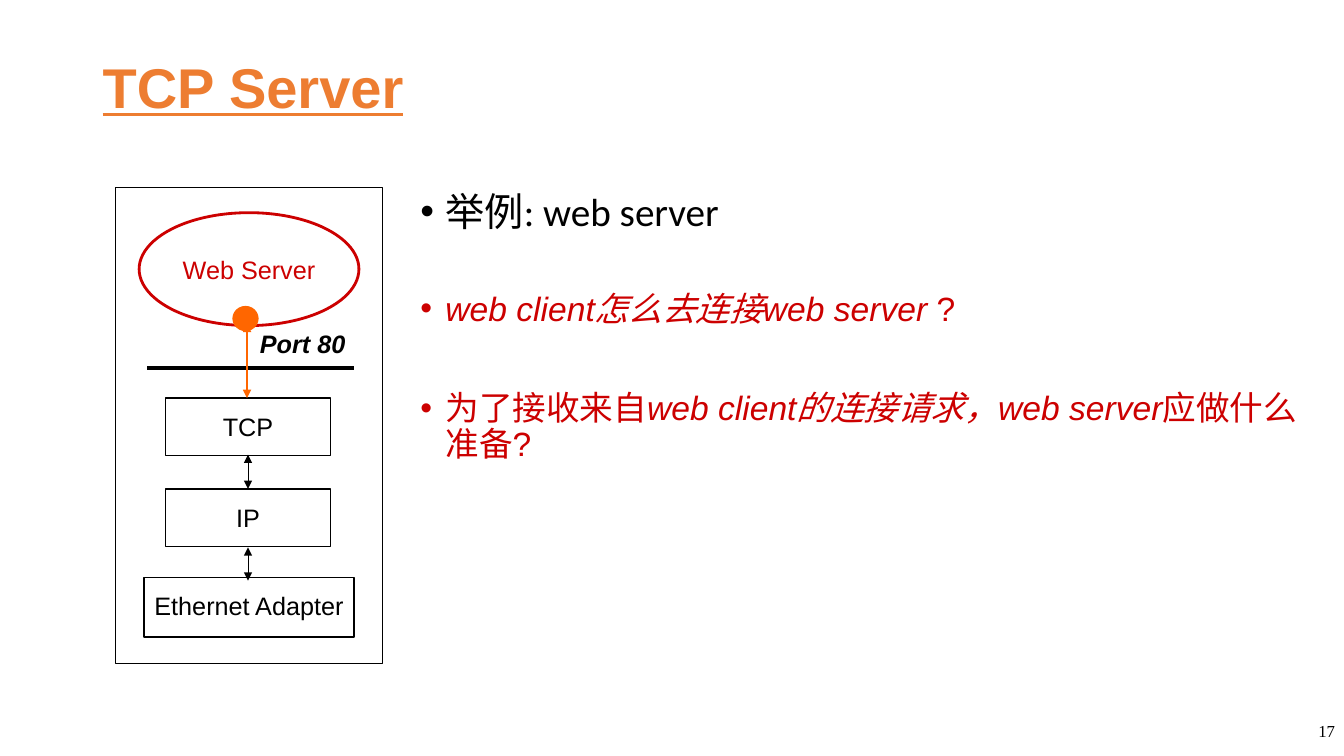
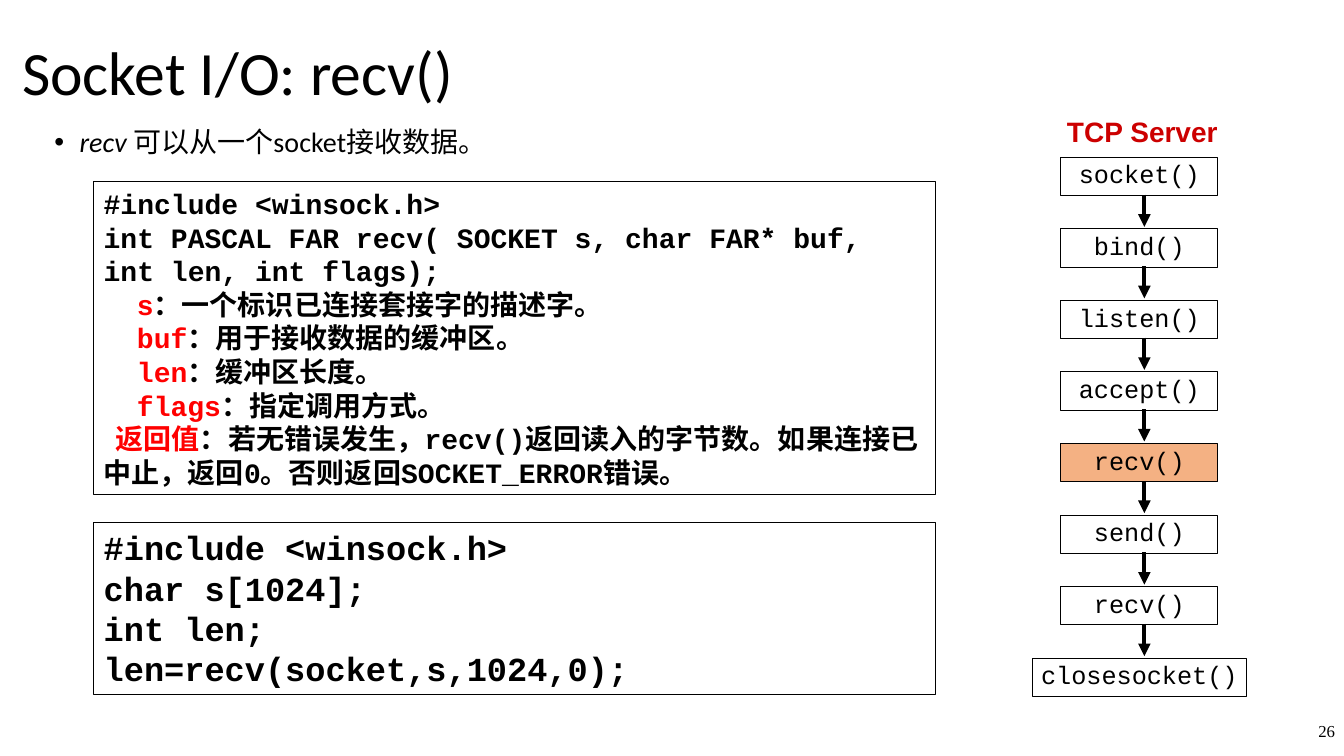
import pptx
import pptx.util
import pptx.dml.color
import pptx.enum.shapes
import pptx.enum.text
import pptx.oxml.ns
from lxml import etree

Inches, Pt = pptx.util.Inches, pptx.util.Pt
SHAPE = pptx.enum.shapes.MSO_SHAPE
ALIGN = {"left": pptx.enum.text.PP_ALIGN.LEFT,
         "center": pptx.enum.text.PP_ALIGN.CENTER,
         "right": pptx.enum.text.PP_ALIGN.RIGHT}
ANCHOR = {"top": pptx.enum.text.MSO_ANCHOR.TOP,
          "middle": pptx.enum.text.MSO_ANCHOR.MIDDLE}

BLACK, RED, KEYWORD = "000000", "CC0000", "FF0000"
TITLE_ORANGE, PORT_ORANGE, HIGHLIGHT = "ED7D31", "FF6600", "F4B183"
SANS, BODY, CODE, SERIF = "Arial", "Calibri", "Courier New", "Times New Roman"


def rgb(value):
    return pptx.dml.color.RGBColor.from_string(value)


def add_xml(parent, tag, **attrs):
    return etree.SubElement(parent, pptx.oxml.ns.qn(tag), attrs)


def format_run(r, size=18, font=SANS, color=BLACK, bold=False, italic=False,
               underline=False):
    r.font.size = Pt(size)
    r.font.name = font
    r.font.color.rgb = rgb(color)
    r.font.bold, r.font.italic, r.font.underline = bold, italic, underline


def add_paragraph(p, runs, align="left", spacing=None, before=0, bullet=False,
                  first_indent=0, **run_format):
    """Fill p with runs; each run is a string or a (string, overrides) pair."""
    p.alignment = ALIGN[align]
    p.space_before = Pt(before)
    if spacing:
        p.line_spacing = spacing
    pPr = p._p.get_or_add_pPr()
    if bullet:
        pPr.set("marL", str(Inches(0.25)))
        pPr.set("indent", str(Inches(-0.25)))
        add_xml(pPr, "a:buFont", typeface="Arial")
        add_xml(pPr, "a:buChar", char="•")
    elif first_indent:
        pPr.set("marL", "0")
        pPr.set("indent", str(Inches(first_indent)))
    for run in [runs] if isinstance(runs, str) else runs:
        text, changes = (run, {}) if isinstance(run, str) else run
        r = p.add_run()
        r.text = text
        format_run(r, **{**run_format, **changes})


def write(sp, paragraphs, anchor="top", inset=(0.1, 0.05), wrap=True, **fmt):
    """Fill a shape; each paragraph is its runs or a (runs, overrides) pair."""
    tf = sp.text_frame
    tf.word_wrap = wrap
    tf.vertical_anchor = ANCHOR[anchor]
    tf.margin_left = tf.margin_right = Inches(inset[0])
    tf.margin_top = tf.margin_bottom = Inches(inset[1])
    if isinstance(paragraphs, str):
        paragraphs = [paragraphs]
    for i, item in enumerate(paragraphs):
        p = tf.add_paragraph() if i else tf.paragraphs[0]
        runs, changes = item if isinstance(item, tuple) else (item, {})
        add_paragraph(p, runs, **{**fmt, **changes})


def add_text(s, at, paragraphs, **fmt):
    write(s.shapes.add_textbox(*map(Inches, at)), paragraphs, **fmt)


def add_box(s, at, paragraphs=None, kind=SHAPE.RECTANGLE, fill=None,
            line=BLACK, width=0.75, **fmt):
    sp = s.shapes.add_shape(kind, *map(Inches, at))
    sp.shadow.inherit = False
    if fill:
        sp.fill.solid()
        sp.fill.fore_color.rgb = rgb(fill)
    else:
        sp.fill.background()
    sp.line.color.rgb = rgb(line)
    sp.line.width = Pt(width)
    if paragraphs:
        write(sp, paragraphs, **fmt)


def add_vector(s, start, end, color=BLACK, width=0.75, head=False, tail=False):
    """Draw a line with optional arrowheads at its start and its end."""
    cx = s.shapes.add_connector(pptx.enum.shapes.MSO_CONNECTOR.STRAIGHT,
                                *map(Inches, (*start, *end)))
    cx.line.color.rgb = rgb(color)
    cx.line.width = Pt(width)
    ln = cx.line._get_or_add_ln()
    if head:
        add_xml(ln, "a:headEnd", type="triangle")
    if tail:
        add_xml(ln, "a:tailEnd", type="triangle")
    add_xml(cx._element.spPr, "a:effectLst")


def add_slide(prs, number):
    s = prs.slides.add_slide(prs.slide_layouts[6])
    add_text(s, (12.67, 7, 0.67, 0.5), str(number), anchor="middle",
             align="right", size=12, font=SERIF)
    return s


def add_protocol_stack(s):
    add_box(s, (1.15, 1.86, 2.64, 4.72))
    layers = [("TCP", (1.64, 3.95, 1.64, 0.57)),
              ("IP", (1.64, 4.85, 1.64, 0.57)),
              ("Ethernet Adapter", (1.43, 5.73, 2.08, 0.59))]
    for name, at in layers:
        add_box(s, at, name, width=1, inset=(0.09, 0.13), wrap=False,
                align="center")
    for top, bottom in [(4.51, 4.85), (5.43, 5.76)]:
        add_vector(s, (2.46, top), (2.46, bottom), head=True, tail=True)
    add_box(s, (1.38, 2.11, 2.18, 1.12), "Web Server", kind=SHAPE.OVAL,
            line=RED, width=2, anchor="middle", wrap=False, align="center",
            color=RED)
    add_vector(s, (1.46, 3.65), (3.51, 3.65), width=3)
    add_box(s, (2.31, 3.04, 0.25, 0.24), kind=SHAPE.OVAL, fill=PORT_ORANGE,
            line=PORT_ORANGE)
    add_vector(s, (2.45, 3.21), (2.45, 3.95), color=PORT_ORANGE, width=2,
               head=True, tail=True)
    add_text(s, (2.48, 3.21, 1.06, 0.4), "Port 80", wrap=False, bold=True,
             italic=True)


def add_call_sequence(s, calls, current):
    """Stack the calls downwards, joined by arrows, with one highlighted."""
    center, first, pitch, height = 11.3, 1.56, 0.71, 0.38
    add_text(s, (10.48, 1.09, 1.7, 0.43), "TCP Server", anchor="middle",
             wrap=False, align="center", size=20, color=RED, bold=True)
    tops = [first + pitch * i for i in range(len(calls))]
    for i, (call, top) in enumerate(zip(calls, tops)):
        width = 2.12 if len(call) > 10 else 1.56
        add_box(s, (center - width / 2, top, width, height), call,
                fill=HIGHLIGHT if i == current else None, wrap=False,
                align="center", spacing=0.9, font=CODE)
    for top, following in zip(tops, tops[1:]):
        add_vector(s, (11.35, top + height - 0.01), (11.35, following - 0.02),
                   width=3, tail=True)


def build_server_slide(prs):
    s = add_slide(prs, 17)
    add_text(s, (0.92, 0.23, 9.25, 1.25), "TCP Server", anchor="middle",
             size=40, color=TITLE_ORANGE, bold=True, underline=True)
    slanted = {"italic": True}
    add_text(s, (4.07, 1.86, 8.9, 5.25), [
        ("举例: web server",
         {"before": 10, "size": 28, "font": BODY, "color": BLACK}),
        ([("web client怎么去连接web server", slanted), " ?"], {"before": 41}),
        (["为了接收来自", ("web client的连接请求，web server", slanted),
          "应做什么准备?"], {"before": 45}),
    ], bullet=True, spacing=0.9, size=24, color=RED)
    add_protocol_stack(s)


def build_recv_slide(prs):
    s = add_slide(prs, 26)
    add_text(s, (0.13, 0.02, 11.5, 1.45), "Socket I/O: recv()",
             anchor="middle", inset=(0.09, 0.04), spacing=0.9, size=44,
             font=BODY)
    add_text(s, (0.45, 1.23, 8.67, 1.64),
             [[("recv ", {"italic": True}), "可以从一个socket接收数据。"]],
             inset=(0.09, 0.04), bullet=True, spacing=0.9, before=10, size=20,
             font=BODY)
    terms = [("s", "一个标识已连接套接字的描述字。", 0.33),
             ("buf", "用于接收数据的缓冲区。", 0.33),
             ("len", "缓冲区长度。", 0.33),
             ("flags", "指定调用方式。", 0.33),
             ("返回值", "若无错误发生，recv()返回读入的字节数。如果连接已中止，"
              "返回0。否则返回SOCKET_ERROR错误。", 0.12)]
    signature = ["#include <winsock.h>",
                 "int PASCAL FAR recv( SOCKET s, char FAR* buf, "
                 "int len, int flags);"]
    signature += [([(term, {"color": KEYWORD}), "：" + meaning],
                   {"first_indent": indent})
                  for term, meaning, indent in terms]
    example = ["#include <winsock.h>", "char s[1024];", "int len;",
               "len=recv(socket,s,1024,0);"]
    for top, height, lines, size in [(1.8, 3.11, signature, 20),
                                     (5.18, 1.71, example, 24)]:
        add_box(s, (0.93, top, 8.35, height), lines, size=size, font=CODE,
                bold=True)
    add_call_sequence(s, ["socket()", "bind()", "listen()", "accept()",
                          "recv()", "send()", "recv()", "closesocket()"],
                      current=4)


def main():
    prs = pptx.Presentation()
    prs.slide_width, prs.slide_height = Inches(13.33), Inches(7.5)
    build_server_slide(prs)
    build_recv_slide(prs)
    prs.save("out.pptx")


if __name__ == "__main__":
    main()
